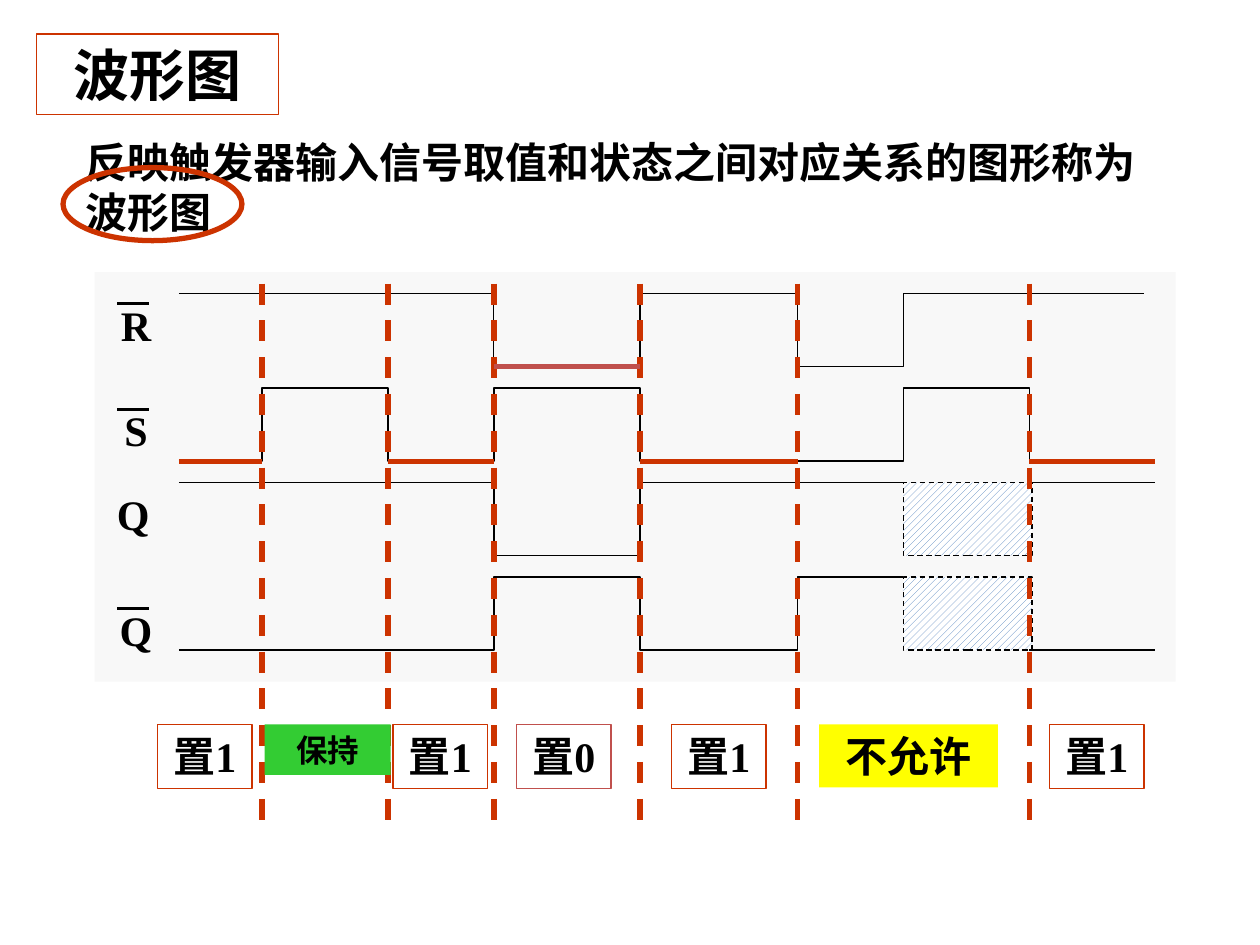
from lxml.etree import SubElement
from pptx import Presentation
from pptx.dml.color import RGBColor
from pptx.enum.dml import MSO_LINE, MSO_PATTERN
from pptx.enum.shapes import MSO_CONNECTOR, MSO_SHAPE
from pptx.enum.text import MSO_ANCHOR, MSO_AUTO_SIZE, PP_ALIGN
from pptx.oxml.ns import qn
from pptx.util import Inches, Pt

RED, ROSE, BLACK = "CC3300", "C0504D", "000000"
HIGH = 0.58   # height of a pulse
LEFT = 1.42   # start of every wave


def color(text):
    return RGBColor.from_string(text)


class Board:
    """Holds the text style and the current slide."""
    font = "Times New Roman"

    def __init__(self, slide):
        self.slide = slide
        self.shapes = slide.shapes

    def stroke(self, line, tone, width, dash=False):
        line.color.rgb = color(tone)
        line.width = Pt(width)
        if dash:
            line.dash_style = MSO_LINE.DASH

    def letter(self, shape, text, size=24, align=PP_ALIGN.CENTER):
        frame = shape.text_frame
        frame.word_wrap = True
        frame.auto_size = MSO_AUTO_SIZE.NONE
        frame.vertical_anchor = MSO_ANCHOR.TOP
        para = frame.paragraphs[0]
        para.alignment = align
        para.space_before = Pt(0)
        run = para.add_run()
        run.text = text
        run.font.name = self.font
        run.font.size = Pt(size)
        run.font.bold = True
        run.font.color.rgb = color(BLACK)

    def holder(self, index, box, text, size, align):
        shape = self.slide.placeholders[index]
        shape.left, shape.top, shape.width, shape.height = map(Inches, box)
        self.letter(shape, text, size, align)
        return shape

    def label(self, box, text, align=PP_ALIGN.CENTER):
        self.letter(self.shapes.add_textbox(*map(Inches, box)), text, align=align)

    def shape(self, box, kind=MSO_SHAPE.RECTANGLE, fill=None, tone=None,
              width=0.75, text=None, size=24):
        shape = self.shapes.add_shape(kind, *map(Inches, box))
        shape.shadow.inherit = False
        if fill:
            shape.fill.solid()
            shape.fill.fore_color.rgb = color(fill)
        else:
            shape.fill.background()
        if tone:
            self.stroke(shape.line, tone, width)
        else:
            shape.line.fill.background()
        if text:
            self.letter(shape, text, size)
        return shape

    def hatch(self, box):
        shape = self.shape(box)
        shape.fill.patterned()
        shape.fill.pattern = MSO_PATTERN.WIDE_UPWARD_DIAGONAL
        shape.fill.fore_color.rgb = color("4F81BD")
        shape.fill.back_color.rgb = color("FFFFFF")
        self.stroke(shape.line, BLACK, 0.75, dash=True)

    def line(self, x1, y1, x2, y2, tone=BLACK, width=0.75, dash=False):
        line = self.shapes.add_connector(
            MSO_CONNECTOR.STRAIGHT, *map(Inches, (x1, y1, x2, y2)))
        self.stroke(line.line, tone, width, dash)
        SubElement(line._element.spPr, qn("a:effectLst"))

    def wave(self, top, high, edges, end):
        """Draw a square wave that flips its level at each edge."""
        start = y = top if high else top + HIGH
        points = []
        for x in edges:
            points.append((x, y))
            y = 2 * top + HIGH - y
            points.append((x, y))
        points.append((end, y))
        trace = self.shapes.build_freeform(Inches(LEFT), Inches(start))
        trace.add_line_segments(
            [(Inches(px), Inches(py)) for px, py in points], close=False)
        shape = trace.convert_to_shape()
        shape.shadow.inherit = False
        shape.fill.background()
        self.stroke(shape.line, BLACK, 0.75)


def main():
    deck = Presentation()
    deck.slide_width, deck.slide_height = Inches(10), Inches(7.5)
    board = Board(deck.slides.add_slide(deck.slide_layouts[1]))

    # Title and definition
    title = board.holder(0, (0.29, 0.27, 1.92, 0.64), "波形图", 32, PP_ALIGN.CENTER)
    board.stroke(title.line, RED, 0.75)
    body = board.holder(1, (0.58, 1.03, 8.83, 0.91),
                        "反映触发器输入信号取值和状态之间对应关系的图形称为波形图",
                        24, PP_ALIGN.LEFT)
    props = body.text_frame.paragraphs[0]._p.get_or_add_pPr()
    props.set("marL", "0")
    props.set("indent", "0")
    SubElement(props, qn("a:buNone"))
    board.shape((0.5, 1.33, 1.42, 0.58), MSO_SHAPE.OVAL, tone=RED, width=3)

    # Panel and waves
    board.shape((0.75, 2.16, 8.58, 3.25), fill="F8F8F8")
    cuts = [2.08, 3.08, 3.92, 5.08, 6.33, 8.17]
    a, b, c, d, e, f = cuts
    mid, end = 7.17, 9.17
    r, s, q, nq = [2.33 + 0.75 * row for row in range(4)]
    board.wave(r, True, [c, d, e, mid], 9.08)
    board.wave(s, False, [a, b, c, d, mid, f], end)
    board.wave(q, True, [c, d], mid)
    board.wave(nq, False, [c, d, e], mid)

    # Undefined state, then the settled level
    for top, level in ((q, q), (nq, nq + HIGH)):
        board.hatch((mid, top, 1.02, HIGH))
        board.line(f, level, end, level)

    # Signal names, with a bar for the inverted ones
    for text, top, bar in (("R", 2.33, 2.41), ("S", 3.16, 3.25), ("Q", 4.75, 4.83)):
        board.label((0.83, top, 0.5, 0.5), text)
        board.line(0.93, bar, 1.18, bar, width=1.5)
    board.label((0.83, 3.83, 0.5, 0.5), "Q", PP_ALIGN.LEFT)

    # Time cuts and active low levels
    for x in cuts:
        board.line(x, 2.25, x, 6.58, RED, 3, dash=True)
    low = s + HIGH
    for x1, x2 in ((LEFT, a), (b, c), (d, e), (f, end)):
        board.line(x1, low, x2, low, RED, 3)
    board.line(c, r + HIGH, d, r + HIGH, ROSE, 3)

    # Action in each interval
    for x, text, tone in ((1.25, "置1", RED), (4.1, "置0", ROSE), (3.12, "置1", RED),
                          (5.33, "置1", RED), (8.33, "置1", RED)):
        board.shape((x, 5.75, 0.75, 0.51), tone=tone, text=text)
    board.shape((2.1, 5.75, 1, 0.4), fill="33CC33", text="保持", size=18)
    board.shape((6.5, 5.75, 1.42, 0.5), fill="FFFF00", text="不允许")

    deck.save("out.pptx")


if __name__ == "__main__":
    main()
